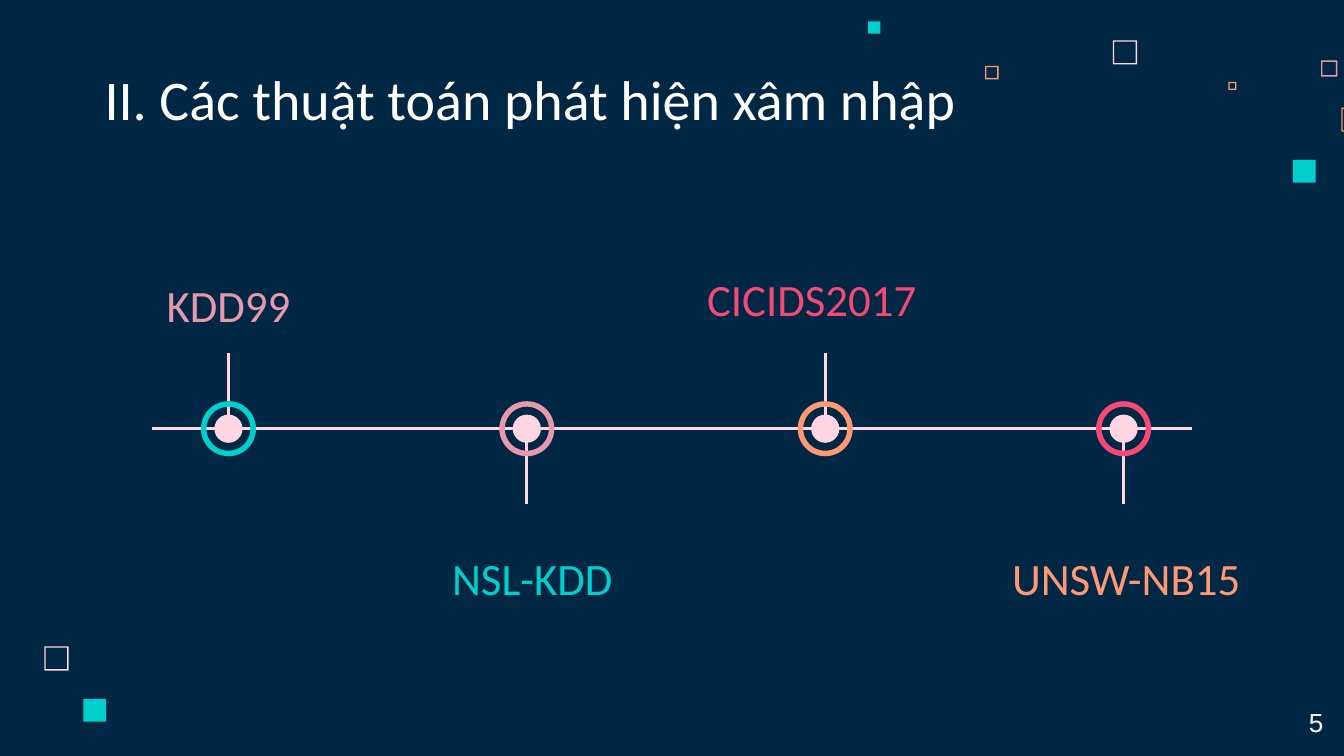
from dataclasses import dataclass

from lxml import etree
from pptx import Presentation
from pptx.dml.color import RGBColor
from pptx.enum.shapes import MSO_CONNECTOR, MSO_SHAPE
from pptx.enum.text import MSO_ANCHOR, PP_ALIGN
from pptx.oxml.ns import qn
from pptx.slide import Slide
from pptx.util import Inches, Pt

RECT, FRAME = MSO_SHAPE.RECTANGLE, MSO_SHAPE.FRAME
DISC, RING = MSO_SHAPE.OVAL, MSO_SHAPE.DONUT
STRAIGHT = MSO_CONNECTOR.STRAIGHT
LEFT, CENTER = PP_ALIGN.LEFT, PP_ALIGN.CENTER
TOP, MIDDLE, BOTTOM = MSO_ANCHOR.TOP, MSO_ANCHOR.MIDDLE, MSO_ANCHOR.BOTTOM


@dataclass(frozen=True)
class Theme:
    back: str = "002845"
    white: str = "FFFFFF"
    blush: str = "FFD6E1"
    rose: str = "E898AC"
    teal: str = "00CFCC"
    peach: str = "FF9973"
    pink: str = "F64975"
    font: str = "Calibri"
    plain: str = "Arial"
    title: float = 30
    label: float = 24
    number: float = 14
    line: float = 1.5


@dataclass(frozen=True)
class Box:
    left: float
    top: float
    width: float
    height: float

    def inches(self) -> list:
        return [Inches(n) for n in (self.left, self.top, self.width, self.height)]


@dataclass(frozen=True)
class Square:
    left: float
    top: float
    size: float
    color: str
    hollow: bool = True


@dataclass(frozen=True)
class Stop:
    name: str
    ink: str
    ring: str
    shift: float  # label centre relative to its column
    top: float
    width: float


THEME = Theme()
WIDE = 10
HIGH = WIDE * 9 / 16
FIRST, PITCH = 1.7, 2.22  # centre of the first column, column step
AXIS, MARGIN = 3.19, 1.13
DOT, HOOP, HOOP_EDGE = 0.21, 0.41, 0.1
GAP, REACH = 0.06, 0.56  # ends of a stem, measured from the axis
LABEL, EDGE = 0.47, 0.01

SQUARES = [
    Square(8.28, 0.3, 0.18, THEME.blush),
    Square(9.83, 0.45, 0.12, THEME.rose),
    Square(9.14, 0.61, 0.06, THEME.peach),
    Square(9.98, 0.8, 0.18, THEME.peach),
    Square(9.62, 1.19, 0.17, THEME.teal, False),
    Square(7.33, 0.49, 0.1, THEME.peach),
    Square(6.46, 0.16, 0.09, THEME.teal, False),
    Square(0.33, 4.81, 0.18, THEME.blush),
    Square(0.62, 5.2, 0.17, THEME.teal, False),
]

STOPS = [
    Stop("KDD99", THEME.rose, THEME.teal, 0, 2.03, 1.41),
    Stop("NSL-KDD", THEME.teal, THEME.rose, 0.04, 4.06, 1.41),
    Stop("CICIDS2017", THEME.pink, THEME.peach, -0.1, 1.99, 1.77),
    Stop("UNSW-NB15", THEME.peach, THEME.pink, 0.02, 4.06, 1.96),
]


def draw_shape(slide: Slide, kind: MSO_SHAPE, box: Box, color: str,
               edge: float | None = None) -> None:
    """Draw a filled shape; edge is the thickness share of a hollow one."""
    shape = slide.shapes.add_shape(kind, *box.inches())
    shape.shadow.inherit = False
    shape.fill.solid()
    shape.fill.fore_color.rgb = RGBColor.from_string(color)
    shape.line.fill.background()
    if edge is not None:
        shape.adjustments[0] = edge


def draw_line(slide: Slide, x1: float, y1: float, x2: float, y2: float) -> None:
    ends = [Inches(n) for n in (x1, y1, x2, y2)]
    line = slide.shapes.add_connector(STRAIGHT, *ends)
    line.line.color.rgb = RGBColor.from_string(THEME.blush)
    line.line.width = Pt(THEME.line)
    etree.SubElement(line._element.spPr, qn("a:effectLst"))


def draw_text(slide: Slide, text: str, box: Box, color: str, size: float,
              font: str = THEME.font, align: PP_ALIGN = LEFT,
              anchor: MSO_ANCHOR = TOP, pad: float = 0.1) -> None:
    frame = slide.shapes.add_textbox(*box.inches()).text_frame
    frame.word_wrap = True
    frame.vertical_anchor = anchor
    frame.margin_left = frame.margin_right = Inches(0.1)
    frame.margin_top = frame.margin_bottom = Inches(pad)
    para = frame.paragraphs[0]
    para.text = text
    para.alignment = align
    para.font.name = font
    para.font.size = Pt(size)
    para.font.color.rgb = RGBColor.from_string(color)


def draw_square(slide: Slide, item: Square) -> None:
    box = Box(item.left, item.top, item.size, item.size)
    if item.hollow:
        draw_shape(slide, FRAME, box, item.color, EDGE / item.size)
    else:
        draw_shape(slide, RECT, box, item.color)


def draw_label(slide: Slide, stop: Stop, x: float) -> None:
    """Draw the stem and the name of a stop."""
    side = -1 if stop.top < AXIS else 1
    draw_line(slide, x, AXIS + side * GAP, x, AXIS + side * REACH)
    left = x + stop.shift - stop.width / 2
    draw_text(slide, stop.name, Box(left, stop.top, stop.width, LABEL),
              stop.ink, THEME.label, align=CENTER, anchor=MIDDLE)


def draw_mark(slide: Slide, stop: Stop, x: float) -> None:
    """Draw the dot and the ring of a stop."""
    for kind, size, color, edge in ((DISC, DOT, THEME.blush, None),
                                    (RING, HOOP, stop.ring, HOOP_EDGE)):
        box = Box(x - size / 2, AXIS - size / 2, size, size)
        draw_shape(slide, kind, box, color, edge)


def main() -> None:
    deck = Presentation()
    deck.slide_width, deck.slide_height = Inches(WIDE), Inches(HIGH)
    slide = deck.slides.add_slide(deck.slide_layouts[6])
    slide.background.fill.solid()
    slide.background.fill.fore_color.rgb = RGBColor.from_string(THEME.back)

    for item in SQUARES:
        draw_square(slide, item)
    draw_text(slide, "II. Các thuật toán phát hiện xâm nhập",
              Box(0.68, 0.45, 6.59, 0.63), THEME.white, THEME.title,
              anchor=BOTTOM)
    spots = [(stop, FIRST + PITCH * col) for col, stop in enumerate(STOPS)]
    for stop, x in spots:
        draw_label(slide, stop, x)
    draw_line(slide, MARGIN, AXIS, WIDE - MARGIN, AXIS)
    for stop, x in spots:
        draw_mark(slide, stop, x)
    draw_text(slide, "5", Box(9.64, 5.21, 0.59, 0.35), THEME.white,
              THEME.number, font=THEME.plain, pad=0.05)
    deck.save("out.pptx")


if __name__ == "__main__":
    main()
